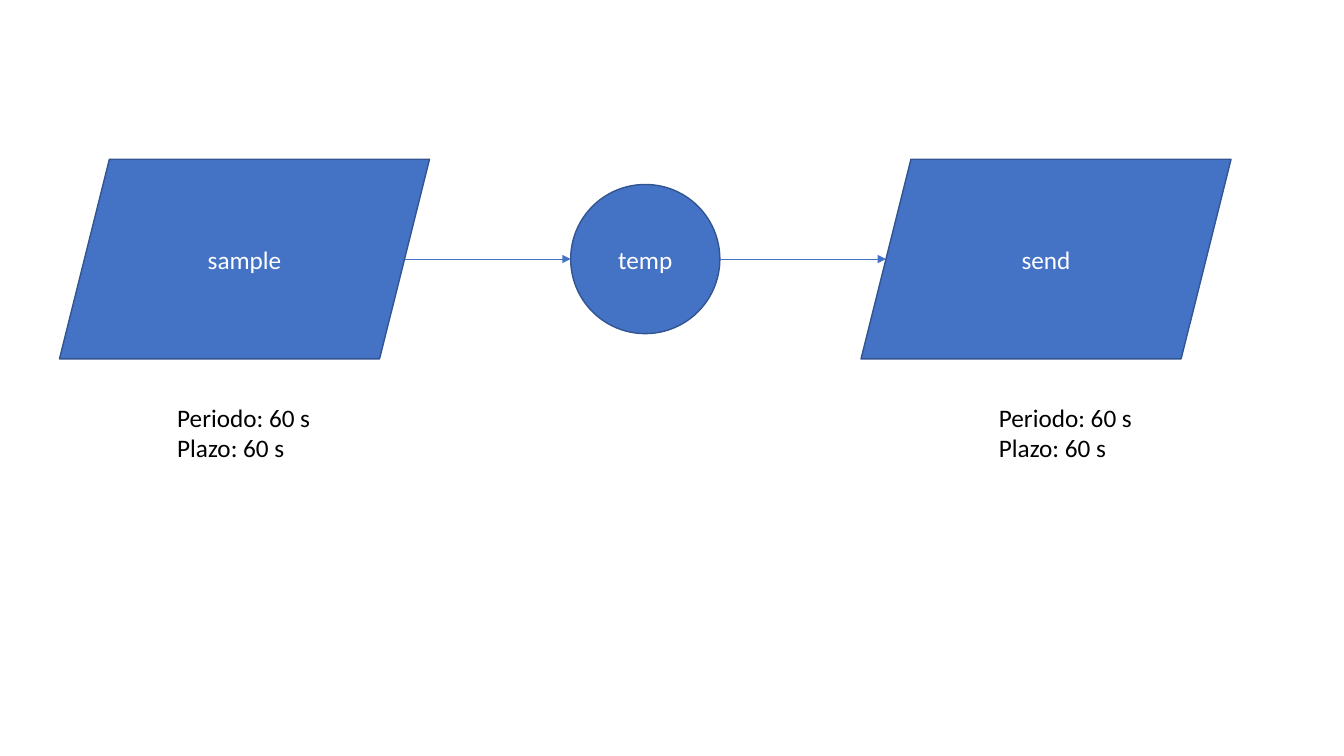
from pptx import Presentation
from pptx.dml.color import RGBColor
from pptx.enum import shapes, text
from pptx.oxml.ns import qn
from pptx.util import Inches, Pt
from lxml import etree

# Content: tasks with left edge, note with left edge
TASKS = [
    ("sample", 0.59, ["Periodo: 60 s", "Plazo: 60 s"], 1.66),
    ("send", 8.54, ["Periodo: 60 s", "Plazo: 60 s"], 9.81),
]
STORE = "temp"
THEME = dict(fill="4472C4", edge="325491", light="FFFFFF", dark="000000",
             font="Calibri", size=18, rim=1, wire=0.5)

# Layout in inches
WIDE, HIGH = 13.33, 7.5
MID = 2.57
TASK_W, TASK_H = 3.67, 1.98
DISC = 1.48
NOTE_TOP, NOTE_W, NOTE_H = 3.94, 1.54, 0.71
SLANT = TASK_H / 8  # half of the parallelogram's quarter-height lean

deck = Presentation()
deck.slide_width, deck.slide_height = Inches(WIDE), Inches(HIGH)
page = deck.slides.add_slide(deck.slide_layouts[6])


def color(key):
    return RGBColor.from_string(THEME[key])


def write(frame, lines, tint, align):
    for i, line in enumerate(lines):
        para = frame.paragraphs[0] if i == 0 else frame.add_paragraph()
        para.alignment = align
        run = para.add_run()
        run.text = line
        run.font.name = THEME["font"]
        run.font.size = Pt(THEME["size"])
        run.font.color.rgb = color(tint)


def node(kind, label, left, wide, high):
    box = page.shapes.add_shape(kind, Inches(left), Inches(MID - high / 2),
                                Inches(wide), Inches(high))
    box.shadow.inherit = False
    box.fill.solid()
    box.fill.fore_color.rgb = color("fill")
    box.line.color.rgb = color("edge")
    box.line.width = Pt(THEME["rim"])
    box.text_frame.vertical_anchor = text.MSO_ANCHOR.MIDDLE
    write(box.text_frame, [label], "light", text.PP_ALIGN.CENTER)


def note(lines, left):
    box = page.shapes.add_textbox(Inches(left), Inches(NOTE_TOP),
                                  Inches(NOTE_W), Inches(NOTE_H))
    box.text_frame.word_wrap = False
    box.text_frame.auto_size = text.MSO_AUTO_SIZE.SHAPE_TO_FIT_TEXT
    write(box.text_frame, lines, "dark", text.PP_ALIGN.LEFT)


def arrow(start, end):
    wire = page.shapes.add_connector(shapes.MSO_CONNECTOR.STRAIGHT, Inches(start),
                                     Inches(MID), Inches(end), Inches(MID))
    wire.line.color.rgb = color("fill")
    wire.line.width = Pt(THEME["wire"])
    etree.SubElement(wire.line._get_or_add_ln(), qn("a:tailEnd"), type="triangle")
    etree.SubElement(wire._element.spPr, qn("a:effectLst"))


# Tasks and their notes
for name, left, lines, edge in TASKS:
    node(shapes.MSO_SHAPE.PARALLELOGRAM, name, left, TASK_W, TASK_H)
    note(lines, edge)

# Shared store, halfway between the tasks
first, last = (task[1] for task in TASKS)
disc = (first + last + TASK_W - DISC) / 2
node(shapes.MSO_SHAPE.OVAL, STORE, disc, DISC, DISC)

# Arrows from task to store to task
arrow(first + TASK_W - SLANT, disc)
arrow(disc + DISC, last + SLANT)

deck.save("out.pptx")
